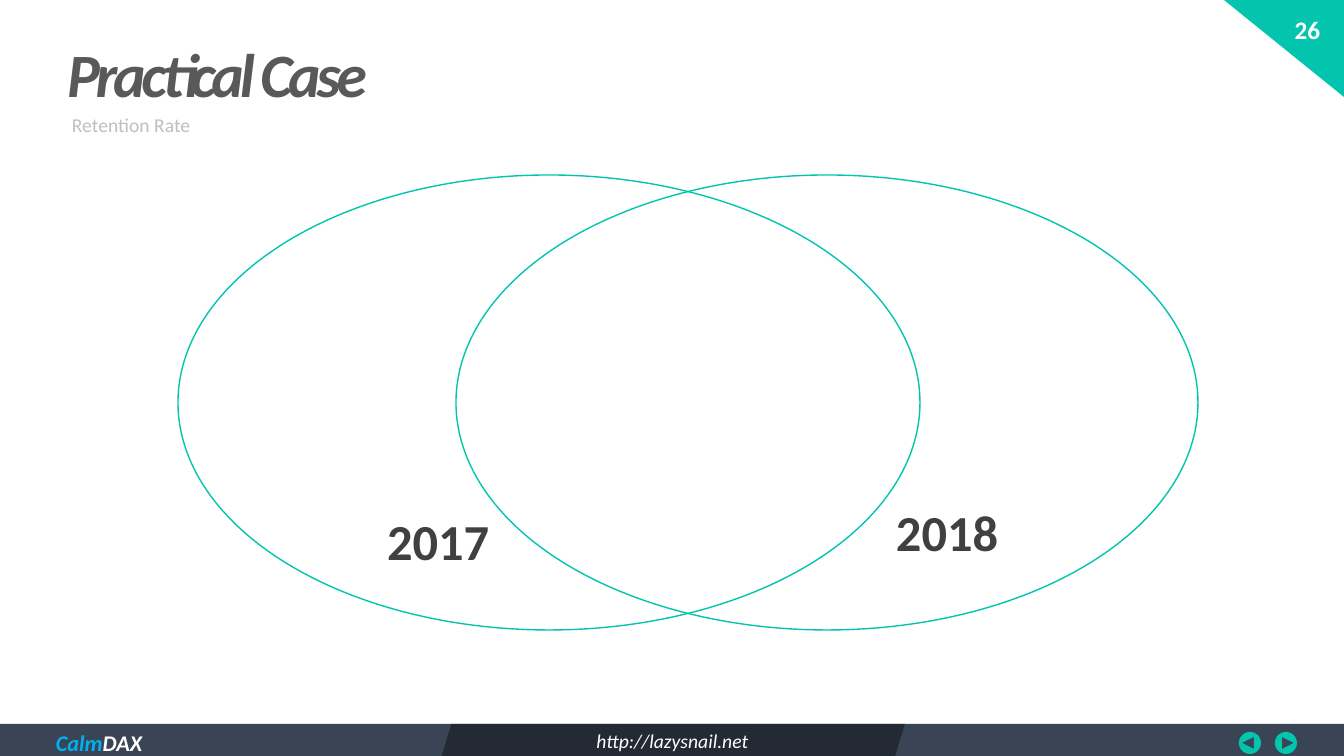
"""Build the Practical Case slide with its two-year retention Venn diagram."""
from dataclasses import dataclass
from math import cos, pi, sin

from lxml.etree import SubElement
from pptx import Presentation
from pptx.dml.color import RGBColor
from pptx.enum.shapes import MSO_SHAPE as SHAPE
from pptx.enum.text import MSO_ANCHOR as ANCHOR, PP_ALIGN as ALIGN
from pptx.oxml.ns import qn
from pptx.util import Emu, Pt


@dataclass(frozen=True)
class Theme:
    font: str = "Calibri"
    teal: str = "03C5AE"
    bar: str = "394555"
    dark: str = "161A20"
    white: str = "FFFFFF"
    sky: str = "00B0F0"
    heading: str = "595959"
    muted: str = "BFBFBF"
    label: str = "404040"
    title_size: int = 44
    year_size: int = 36
    number_size: int = 18
    brand_size: int = 16
    small_size: int = 14


def px(n):
    return Emu(round(n * 914400 / 100.8))


class SlideBuilder:
    def __init__(self, prs, theme):
        self.theme = theme
        self.s = prs.slides.add_slide(prs.slide_layouts[5])

    def paint(self, sp, fill=None, line=None, alpha=None):
        sp.shadow.inherit = False
        if fill:
            sp.fill.solid()
            sp.fill.fore_color.rgb = RGBColor.from_string(fill)
        else:
            sp.fill.background()
        if alpha:
            color = sp._element.spPr.find(qn("a:solidFill"))[0]
            SubElement(color, qn("a:alpha"), val=str(alpha * 1000))
        if line:
            sp.line.color.rgb = RGBColor.from_string(line)
            sp.line.width = Pt(1)
        else:
            sp.line.fill.background()
        return sp

    def shape(self, kind, box, **style):
        return self.paint(self.s.shapes.add_shape(kind, *map(px, box)), **style)

    def set_text(self, sp, runs, size, align=ALIGN.LEFT, anchor=ANCHOR.TOP,
                 spacing=None, inset=None, **font):
        tf = sp.text_frame
        frame = {"word_wrap": True, "vertical_anchor": anchor}
        if inset is not None:
            sides = ("left", "top", "right", "bottom")
            frame.update({f"margin_{side}": px(inset) for side in sides})
        for name, value in frame.items():
            setattr(tf, name, value)
        p = tf.paragraphs[0]
        p.alignment, p.line_spacing = align, spacing
        fmt = {"name": self.theme.font, "size": Pt(size), **font}
        for text, color in runs:
            r = p.add_run()
            r.text = text
            for name, value in fmt.items():
                setattr(r.font, name, value)
            r.font.color.rgb = RGBColor.from_string(color)
        return tf

    def text(self, box, runs, size, **style):
        sp = self.s.shapes.add_textbox(*map(px, box))
        return self.set_text(sp, runs, size, **style)

    def title(self, box, text):
        sp = self.s.shapes.title
        sp.left, sp.top, sp.width, sp.height = map(px, box)
        tf = self.set_text(sp, [(text, self.theme.heading)], self.theme.title_size,
                           anchor=ANCHOR.MIDDLE, spacing=0.9, bold=True, italic=True)
        tf.paragraphs[0].runs[0].font._element.set("spc", "-300")

    def arrow_button(self, cx, cy, radius, direction):
        steps = 60
        circle = [(cx + radius * cos(2 * pi * i / steps),
                   cy + direction * radius * sin(2 * pi * i / steps))
                  for i in range(steps)]
        arrow = [(cx + direction * dx, cy + dy)
                 for dx, dy in ((-4, -6), (-4, 6), (8, 0))]
        outer, hole = ([(px(x), px(y)) for x, y in pts] for pts in (circle, arrow))
        fb = self.s.shapes.build_freeform(*outer[0], scale=1.0)
        fb.add_line_segments(outer[1:], close=True)
        fb.move_to(*hole[0])
        fb.add_line_segments(hole[1:], close=True)
        self.paint(fb.convert_to_shape(), fill=self.theme.teal)


def main():
    t = Theme()
    prs = Presentation()
    prs.slide_width, prs.slide_height = px(1344), px(756)
    b = SlideBuilder(prs, t)

    corner = b.shape(SHAPE.RIGHT_TRIANGLE, (1224, 0, 120, 97), fill=t.teal)
    corner.rotation = 180
    b.text((1277, 9, 61, 40), [("26", t.white)], t.number_size,
           align=ALIGN.CENTER, bold=True)

    b.shape(SHAPE.RECTANGLE, (0, 724, 1344, 37), fill=t.bar)
    b.text((46, 724, 197, 37), [("Calm", t.sky), ("DAX", t.white)], t.brand_size,
           bold=True, italic=True)
    link = b.shape(SHAPE.PARALLELOGRAM, (440, 724, 465, 37), fill=t.dark, alpha=61)
    link.adjustments[0] = 0.31
    b.set_text(link, [("http://lazysnail.net", t.white)], t.small_size,
               align=ALIGN.CENTER, anchor=ANCHOR.MIDDLE, spacing=0.9, italic=True)
    for cx, direction in ((1286, 1), (1250, -1)):
        b.arrow_button(cx, 743, 11, direction)

    b.title((57, 42, 730, 71), "Practical Case")
    b.text((62, 114, 465, 25), [("Retention Rate", t.muted)], t.small_size,
           anchor=ANCHOR.MIDDLE, spacing=0.9)

    for left, fill in ((456, t.white), (178, None)):
        b.shape(SHAPE.OVAL, (left, 175, 742, 455), fill=fill, line=t.teal)
    for year, left, top in (("2017", 387, 510), ("2018", 896, 501)):
        b.text((left, top, 124, 61), [(year, t.label)], t.year_size,
               anchor=ANCHOR.BOTTOM, inset=0, bold=True)

    prs.save("out.pptx")


if __name__ == "__main__":
    main()
